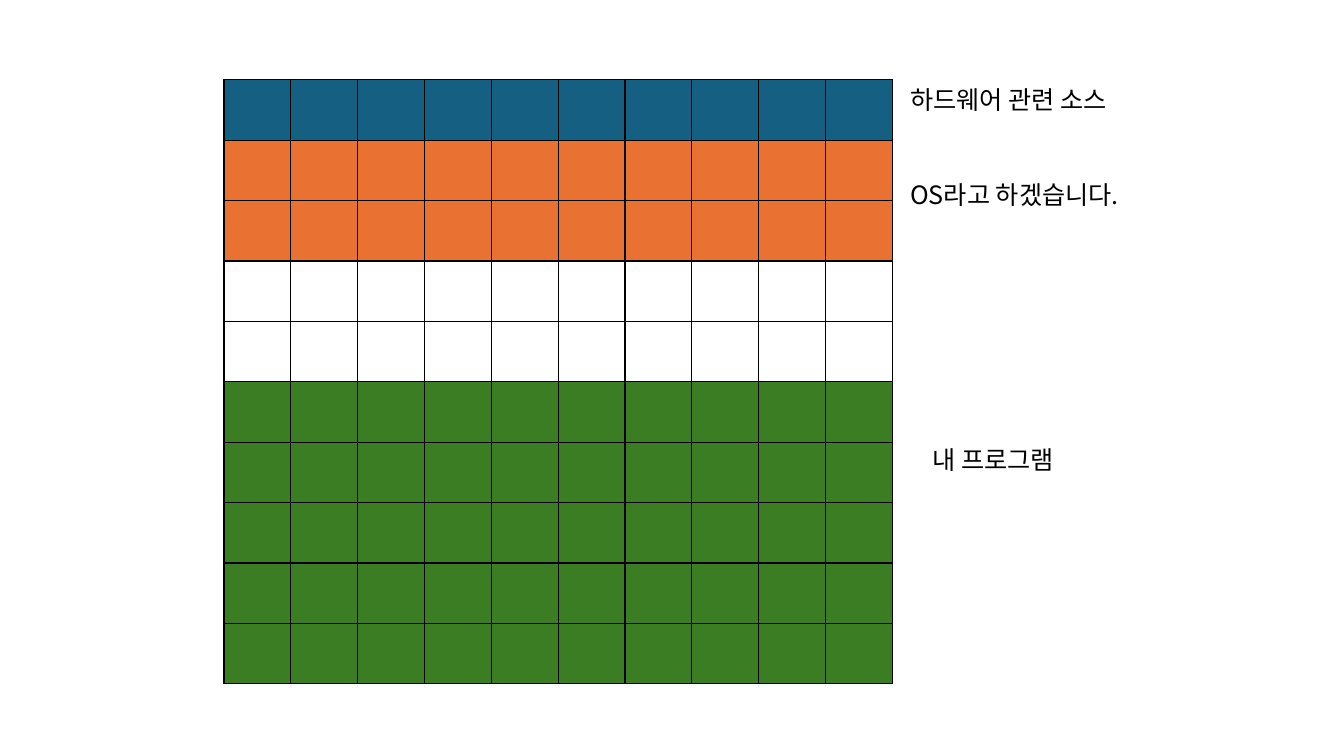
"""Build a slide with a memory grid split into labelled bands."""
from dataclasses import dataclass

from lxml import etree
from pptx import Presentation
from pptx.dml.color import RGBColor
from pptx.enum.text import MSO_AUTO_SIZE
from pptx.oxml.ns import qn
from pptx.slide import Slide
from pptx.table import _Cell
from pptx.util import Pt

GROW = MSO_AUTO_SIZE.SHAPE_TO_FIT_TEXT


@dataclass(frozen=True)
class Theme:
    blue: str = "156082"
    orange: str = "E97132"
    green: str = "3B7D23"
    black: str = "000000"
    font: str = "Noto Sans CJK KR"
    size: float = 18
    line: float = 1


@dataclass(frozen=True)
class Band:
    rows: int
    fill: str | None


@dataclass(frozen=True)
class Label:
    text: str
    left: float
    top: float
    width: float


THEME = Theme()
COLS = 10
LEFT, TOP, WIDTH, HEIGHT = 160, 57, 477.5, 431.5
BANDS = (
    Band(1, THEME.blue),
    Band(2, THEME.orange),
    Band(2, None),
    Band(5, THEME.green),
)
LABELS = (
    Label("하드웨어 관련 소스", 643, 57, 173),
    Label("OS라고 하겠습니다.", 643, 124.5, 176.5),
    Label("내 프로그램", 659, 314, 111.5),
)


def edge(cell: _Cell, color: str, width: float) -> None:
    props = cell._tc.get_or_add_tcPr()
    for side in ("lnL", "lnR", "lnT", "lnB"):
        line = etree.SubElement(props, qn(f"a:{side}"), w=str(Pt(width)))
        fill = etree.SubElement(line, qn("a:solidFill"))
        etree.SubElement(fill, qn("a:srgbClr"), val=color)


def paint(cell: _Cell, color: str | None) -> None:
    edge(cell, THEME.black, THEME.line)
    if color:
        cell.fill.solid()
        cell.fill.fore_color.rgb = RGBColor.from_string(color)
    else:
        cell.fill.background()


def add_grid(slide: Slide, bands: tuple[Band, ...]) -> None:
    fills = [band.fill for band in bands for _ in range(band.rows)]
    frame = slide.shapes.add_table(
        len(fills), COLS, Pt(LEFT), Pt(TOP), Pt(WIDTH), Pt(HEIGHT)
    )
    table = frame.table
    table.first_row = table.horz_banding = False
    for row, fill in zip(table.rows, fills):
        for cell in row.cells:
            paint(cell, fill)


def add_text(
    slide: Slide,
    text: str,
    *,
    left: float,
    top: float,
    width: float,
    height: float = 29,
    size: float = THEME.size,
    color: str = THEME.black,
    font: str = THEME.font,
) -> None:
    box = slide.shapes.add_textbox(Pt(left), Pt(top), Pt(width), Pt(height))
    frame = box.text_frame
    frame.word_wrap = False
    frame.auto_size = GROW
    run = frame.paragraphs[0].add_run()
    run.text = text
    run.font.size = Pt(size)
    run.font.name = font
    run.font.color.rgb = RGBColor.from_string(color)
    etree.SubElement(run.font._element, qn("a:ea"), typeface=font)


def main() -> None:
    deck = Presentation()
    deck.slide_width, deck.slide_height = Pt(960), Pt(540)
    slide = deck.slides.add_slide(deck.slide_layouts[6])
    add_grid(slide, BANDS)
    for item in LABELS:
        add_text(slide, item.text, left=item.left, top=item.top, width=item.width)
    deck.save("out.pptx")


if __name__ == "__main__":
    main()
